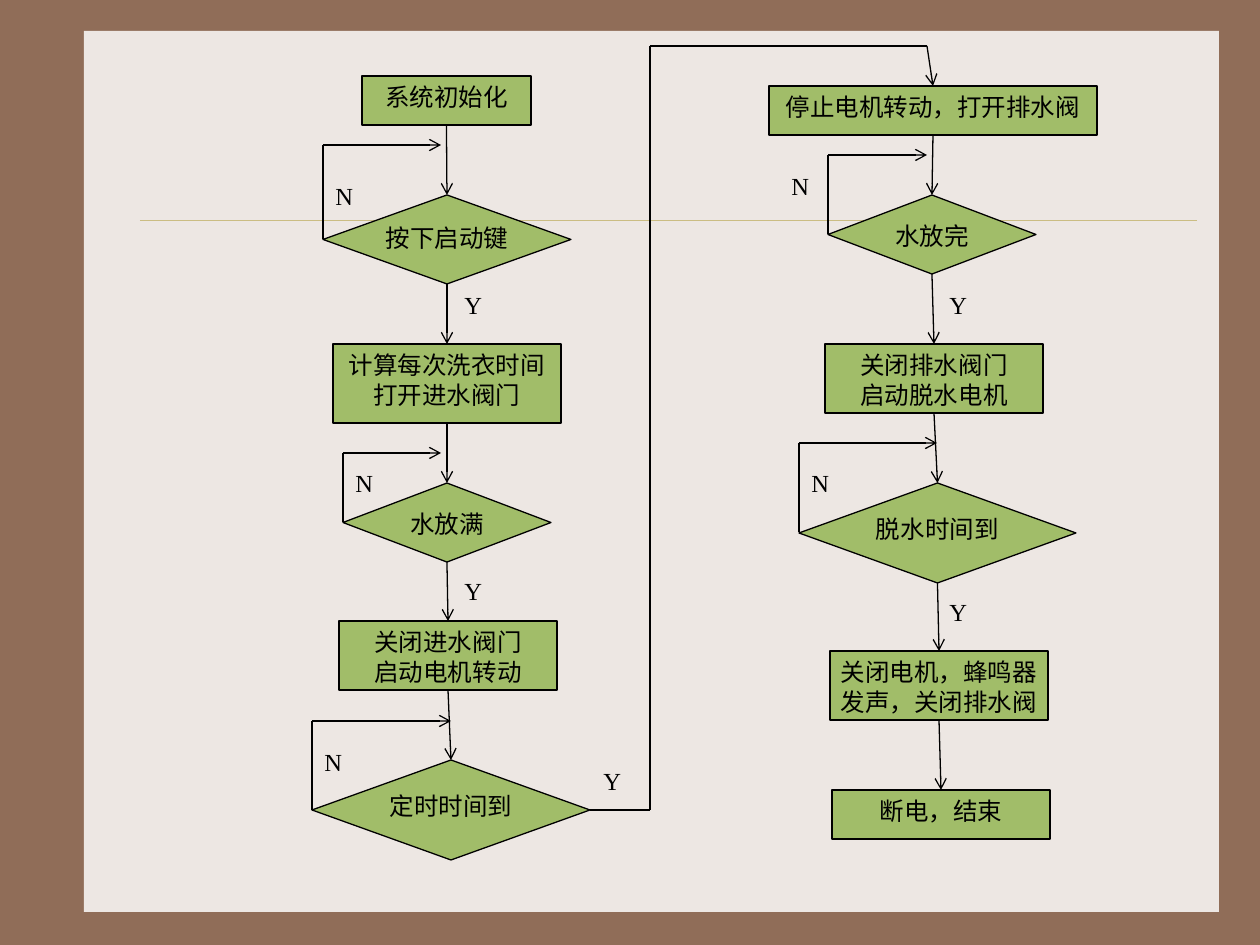
from itertools import pairwise

from lxml.etree import SubElement
from pptx import Presentation
from pptx.dml.color import RGBColor
from pptx.enum.shapes import MSO_CONNECTOR, MSO_SHAPE
from pptx.enum.text import MSO_ANCHOR, MSO_AUTO_SIZE, PP_ALIGN
from pptx.oxml.ns import qn
from pptx.util import Emu, Pt

EMU_PER_PX = 914400 / 126
FONT = "Times New Roman"
COLORS = {
    "background": "906D58",
    "panel": "EDE7E3",
    "rule": "CBBD83",
    "step": "A1BD69",
    "ink": "000000",
}
START, PROCESS, DECISION = (
    MSO_SHAPE.RECTANGLE,
    MSO_SHAPE.FLOWCHART_PROCESS,
    MSO_SHAPE.FLOWCHART_DECISION,
)

# Steps of each column: kind, left, top, width, height, lines of text
WASH_STEPS = [
    (START, 362, 76, 169, 49, ["系统初始化"]),
    (DECISION, 323, 195, 248, 89, ["按下启动键"]),
    (PROCESS, 333, 344, 228, 79, ["计算每次洗衣时间", "打开进水阀门"]),
    (DECISION, 343, 483, 208, 79, ["水放满"]),
    (PROCESS, 339, 621, 218, 69, ["关闭进水阀门", "启动电机转动"]),
    (DECISION, 312, 760, 278, 100, ["定时时间到"]),
]
SPIN_STEPS = [
    (PROCESS, 769, 86, 328, 49, ["停止电机转动，打开排水阀"]),
    (DECISION, 828, 195, 208, 79, ["水放完"]),
    (PROCESS, 825, 344, 218, 69, ["关闭排水阀门", "启动脱水电机"]),
    (DECISION, 799, 483, 277, 100, ["脱水时间到"]),
    (PROCESS, 830, 651, 218, 69, ["关闭电机，蜂鸣器", "发声，关闭排水阀"]),
    (PROCESS, 832, 790, 218, 49, ["断电，结束"]),
]
# Waiting loops: left corner of the decision, then height and end of the arrow
LOOPS = [
    (323, 239, 145, 441),
    (343, 522, 453, 441),
    (312, 810, 721, 451),
    (828, 234, 155, 927),
    (799, 532, 443, 937),
]
# Route from the last wash step to the first spin step
ROUTE = [(590, 810), (650, 810), (650, 46), (927, 46), (933, 86)]
LABELS = {
    "N": [(323, 175), (343, 462), (312, 741), (779, 165), (799, 462)],
    "Y": [(452, 284), (452, 570), (591, 760), (937, 284), (937, 591)],
}


def px(value):
    return Emu(round(value * EMU_PER_PX))


def color(name):
    return RGBColor.from_string(COLORS[name])


def write_lines(shape, lines, alignment):
    text_frame = shape.text_frame
    text_frame.word_wrap = False
    text_frame.vertical_anchor = MSO_ANCHOR.TOP
    for index, line in enumerate(lines):
        paragraph = text_frame.paragraphs[0] if index == 0 else text_frame.add_paragraph()
        paragraph.alignment = alignment
        run = paragraph.add_run()
        run.text = line
        run.font.name = FONT
        run.font.size = Pt(14)
        run.font.color.rgb = color("ink")


def add_box(slide, kind, left, top, width, height, fill):
    shape = slide.shapes.add_shape(kind, px(left), px(top), px(width), px(height))
    shape.shadow.inherit = False
    shape.fill.solid()
    shape.fill.fore_color.rgb = color(fill)
    shape.line.fill.background()
    return shape


def add_step(slide, kind, left, top, width, height, lines):
    shape = add_box(slide, kind, left, top, width, height, "step")
    shape.line.color.rgb = color("ink")
    shape.line.width = Pt(0.75)
    write_lines(shape, lines, PP_ALIGN.CENTER)


def add_line(slide, start, end, arrow=False, line_color="ink", width=0.75):
    points = [px(value) for value in (*start, *end)]
    connector = slide.shapes.add_connector(MSO_CONNECTOR.STRAIGHT, *points)
    connector.line.color.rgb = color(line_color)
    connector.line.width = Pt(width)
    if arrow:
        SubElement(connector.line._get_or_add_ln(), qn("a:tailEnd"), type="arrow")
    SubElement(connector._element.spPr, qn("a:effectLst"))


def add_path(slide, points):
    """Join the points with lines; the last one carries the arrowhead."""
    for start, end in pairwise(points):
        add_line(slide, start, end, arrow=end == points[-1])


def add_column(slide, steps):
    for step in steps:
        add_step(slide, *step)
    for upper, lower in pairwise(steps):
        _, left, top, width, height, _ = upper
        _, next_left, next_top, next_width, _, _ = lower
        start = (left + width / 2, top + height)
        add_path(slide, [start, (next_left + next_width / 2, next_top)])


def add_label(slide, text, left, top):
    label = slide.shapes.add_textbox(px(left), px(top), px(43), px(43))
    label.text_frame.auto_size = MSO_AUTO_SIZE.SHAPE_TO_FIT_TEXT
    write_lines(label, [text], PP_ALIGN.LEFT)


def main():
    presentation = Presentation()
    presentation.slide_width, presentation.slide_height = px(1260), px(945)
    slide = presentation.slides.add_slide(presentation.slide_layouts[6])

    # Backdrop
    slide.background.fill.solid()
    slide.background.fill.fore_color.rgb = color("background")
    add_box(slide, MSO_SHAPE.RECTANGLE, 84, 31, 1135, 881, "panel")
    add_line(slide, (140, 220), (1197, 220), line_color="rule", width=0.25)

    # Flow chart
    add_column(slide, WASH_STEPS)
    add_column(slide, SPIN_STEPS)
    add_path(slide, ROUTE)
    for left, middle, top, end in LOOPS:
        add_path(slide, [(left, middle), (left, top), (end, top)])

    # Yes and no labels
    for text, places in LABELS.items():
        for left, top in places:
            add_label(slide, text, left, top)

    presentation.save("out.pptx")


if __name__ == "__main__":
    main()
